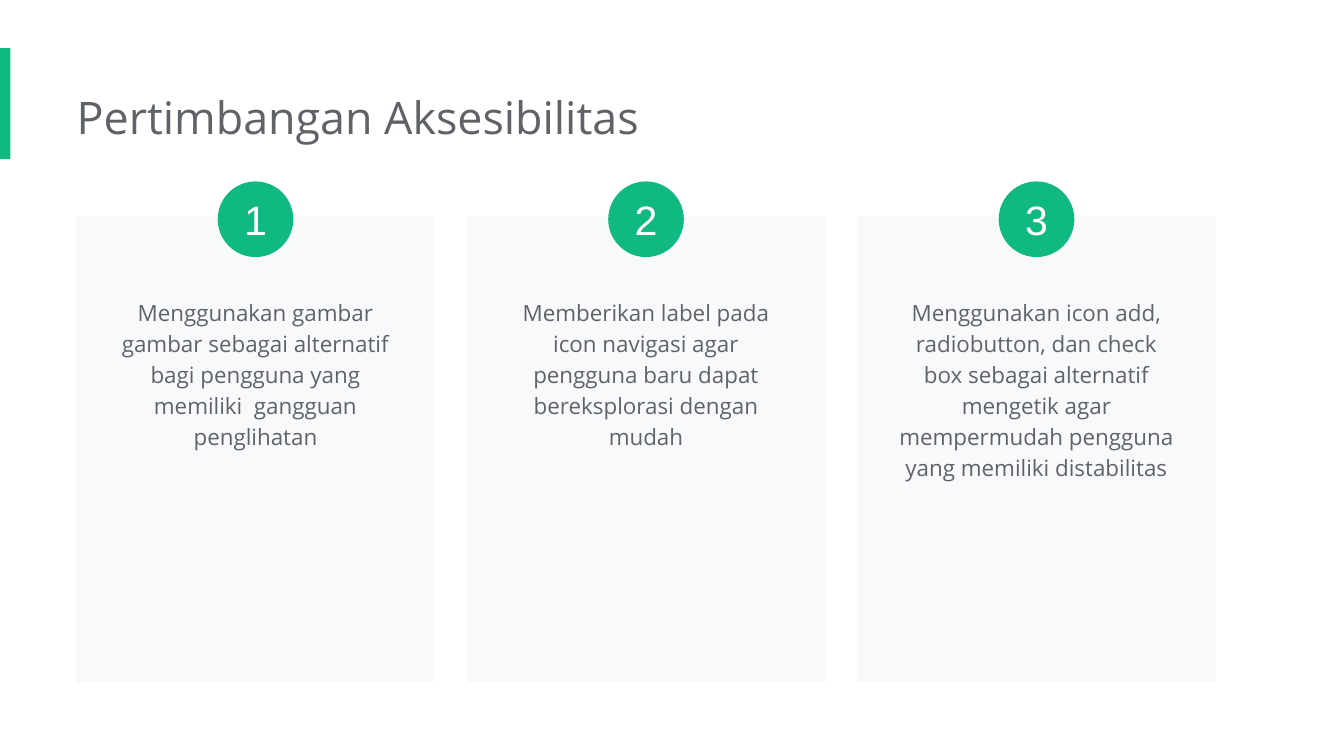
from pptx import Presentation
from pptx.dml.color import RGBColor
from pptx.enum.shapes import MSO_SHAPE
from pptx.enum.text import MSO_ANCHOR, PP_ALIGN
from pptx.util import Cm, Pt

COLORS = {"green": "10B981", "card": "F8F9FA", "text": "5F6368", "white": "FFFFFF"}

CONSIDERATIONS = [
    "Menggunakan gambar gambar sebagai alternatif bagi pengguna yang memiliki  gangguan penglihatan",
    "Memberikan label pada icon navigasi agar pengguna baru dapat bereksplorasi dengan mudah",
    "Menggunakan icon add, radiobutton, dan check box sebagai alternatif mengetik agar "
    "mempermudah pengguna yang memiliki distabilitas",
]

# Card grid, in centimetres
CARD_LEFT, CARD_TOP = 1.45, 4.09
CARD_WIDTH, CARD_HEIGHT = 6.76, 8.81
CARD_PITCH = 7.38
BADGE_SIZE = 1.43
TEXT_WIDTH = 5.69


class SlideBuilder:
    """Holds the style and the current slide."""

    body_font = "Open Sans"
    badge_font = "Arial"

    def __init__(self, slide):
        self.slide = slide

    def add_text(self, frame, text, size, color, font, align, margins, anchor=MSO_ANCHOR.TOP):
        frame.word_wrap = True
        frame.vertical_anchor = anchor
        frame.margin_left, frame.margin_top, frame.margin_right, frame.margin_bottom = map(Cm, margins)
        paragraph = frame.paragraphs[0]
        paragraph.alignment = align
        run = paragraph.add_run()
        run.text = text
        run.font.size = Pt(size)
        run.font.name = font
        run.font.color.rgb = RGBColor.from_string(COLORS[color])
        return paragraph

    def title(self, text, left, top, width, height):
        shape = self.slide.shapes.title
        shape.left, shape.top, shape.width, shape.height = map(Cm, (left, top, width, height))
        self.add_text(shape.text_frame, text, 24, "text", self.body_font,
                      PP_ALIGN.LEFT, (0, 0.25, 0.25, 0.25))

    def panel(self, kind, left, top, width, height, color):
        shape = self.slide.shapes.add_shape(kind, Cm(left), Cm(top), Cm(width), Cm(height))
        shape.shadow.inherit = False
        shape.fill.solid()
        shape.fill.fore_color.rgb = RGBColor.from_string(COLORS[color])
        shape.line.fill.background()
        return shape

    def description(self, text, left, top, width, height):
        box = self.slide.shapes.add_textbox(Cm(left), Cm(top), Cm(width), Cm(height))
        paragraph = self.add_text(box.text_frame, text, 12, "text", self.body_font,
                                  PP_ALIGN.CENTER, (0.25,) * 4)
        paragraph.line_spacing = 1.15

    def badge(self, number, left, top):
        circle = self.panel(MSO_SHAPE.OVAL, left, top, BADGE_SIZE, BADGE_SIZE, "green")
        self.add_text(circle.text_frame, str(number), 22, "white", self.badge_font,
                      PP_ALIGN.CENTER, (0,) * 4, MSO_ANCHOR.MIDDLE)


def main():
    presentation = Presentation()
    presentation.slide_width, presentation.slide_height = Cm(25.4), Cm(14.29)
    builder = SlideBuilder(presentation.slides.add_slide(presentation.slide_layouts[5]))

    # Accent bar and title
    builder.panel(MSO_SHAPE.RECTANGLE, 0, 0.91, 0.2, 2.1, "green")
    builder.title("Pertimbangan Aksesibilitas", CARD_LEFT, 1.45, 19.46, 1.55)

    # Numbered cards
    for index, text in enumerate(CONSIDERATIONS):
        left = CARD_LEFT + index * CARD_PITCH
        builder.panel(MSO_SHAPE.RECTANGLE, left, CARD_TOP, CARD_WIDTH, CARD_HEIGHT, "card")
        builder.description(text, left + (CARD_WIDTH - TEXT_WIDTH) / 2, 5.33, TEXT_WIDTH, 4.65)
        builder.badge(index + 1, left + (CARD_WIDTH - BADGE_SIZE) / 2, 3.43)

    presentation.save("out.pptx")


if __name__ == "__main__":
    main()
